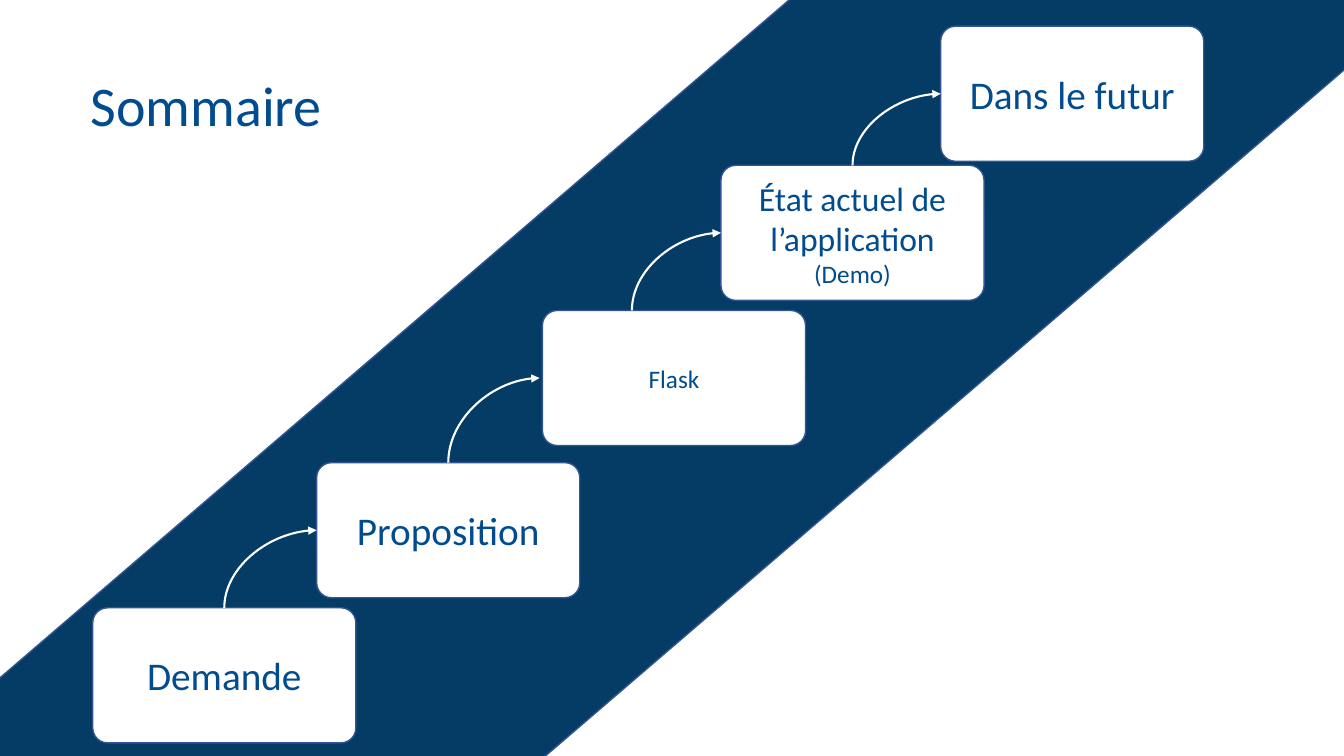
import lxml.etree
import pptx
import pptx.util
import pptx.dml.color
import pptx.enum.shapes
import pptx.enum.text
import pptx.oxml.ns

RGB = pptx.dml.color.RGBColor
SHAPE = pptx.enum.shapes.MSO_SHAPE
ALIGN = pptx.enum.text.PP_ALIGN
ANCHOR = pptx.enum.text.MSO_ANCHOR
qn = pptx.oxml.ns.qn

NAVY = RGB(0x04, 0x3C, 0x66)
BLUE = RGB(0x00, 0x4C, 0x8F)
EDGE = RGB(0x32, 0x54, 0x91)
WHITE = RGB(0xFF, 0xFF, 0xFF)

# Content: lengths are percentages of the slide's width and height
TITLE = "Sommaire"
TITLE_BOX = (6, 8.67, 51.24, 10.27)
STRIPE_BOX = (-5.78, -18, 123.63, 188.8)
STEP_W, STEP_H = 19.58, 17.87
STEPS = [  # left, top, lines of (text, size)
    (6.9, 80.4, [("Demande", 28)]),
    (23.56, 61.2, [("Proposition", 28)]),
    (40.36, 41.07, [("Flask", 18)]),
    (53.64, 21.87, [("État actuel de l’application", 24), ("(Demo)", 18)]),
    (69.99, 3.47, [("Dans le futur", 28)]),
]
# Per arrow: start along the box's top side (share), gap before the next box
ARROWS = [(0.5, 0), (0.5, 0.22), (0.34, 0), (0.5, 0)]

prs = pptx.Presentation()
prs.slide_width = pptx.util.Inches(13.33)
prs.slide_height = pptx.util.Inches(7.5)
s = prs.slides.add_slide(prs.slide_layouts[5])


def across(share):
    return round(prs.slide_width * share / 100)


def down(share):
    return round(prs.slide_height * share / 100)


def place(left, top, width, height):
    return across(left), down(top), across(width), down(height)


def write(tf, lines, align, anchor):
    tf.word_wrap = True
    tf.vertical_anchor = anchor
    for i, (text, size) in enumerate(lines):
        p = tf.paragraphs[0] if i == 0 else tf.add_paragraph()
        p.alignment = align
        r = p.add_run()
        r.text = text
        r.font.color.rgb = BLUE
        for name, value in {"name": "Calibri", "size": pptx.util.Pt(size)}.items():
            setattr(r.font, name, value)


def add_block(kind, box, adjust, fill):
    sp = s.shapes.add_shape(kind, *place(*box))
    sp.adjustments[0] = adjust
    sp.shadow.inherit = False
    sp.fill.solid()
    sp.fill.fore_color.rgb = fill
    sp.line.color.rgb = EDGE
    sp.line.width = pptx.util.Pt(1)
    return sp


def add_arrow(x1, y1, x2, y2):
    """Curve that leaves (x1, y1) upwards and reaches (x2, y2) to the right."""
    run, rise = x2 - x1, y1 - y2
    c = s.shapes.add_connector(pptx.enum.shapes.MSO_CONNECTOR.CURVE, 0, 0, 0, 0)
    # A quarter turn swaps width and height about the centre
    c.left, c.top = (x1 + x2 - rise) // 2, (y1 + y2 - run) // 2
    c.width, c.height = rise, run
    props = c.element.spPr
    xfrm = props.find(qn("a:xfrm"))
    for name, value in {"rot": "5400000", "flipH": "1", "flipV": "1"}.items():
        xfrm.set(name, value)
    props.find(qn("a:prstGeom")).set("prst", "curvedConnector2")
    c.line.color.rgb = WHITE
    c.line.width = pptx.util.Pt(1.5)
    lxml.etree.SubElement(props.find(qn("a:ln")), qn("a:tailEnd"), type="triangle")
    lxml.etree.SubElement(props, qn("a:effectLst"))


# Title
title = s.shapes.title
title.left, title.top, title.width, title.height = place(*TITLE_BOX)
write(title.text_frame, [(TITLE, 40)], ALIGN.LEFT, ANCHOR.TOP)

# Diagonal band
add_block(SHAPE.DIAGONAL_STRIPE, STRIPE_BOX, 0.617, NAVY)

# Steps
for left, top, lines in STEPS:
    step = add_block(SHAPE.ROUNDED_RECTANGLE, (left, top, STEP_W, STEP_H), 0.11, WHITE)
    write(step.text_frame, lines, ALIGN.CENTER, ANCHOR.MIDDLE)

# Arrows from the top of each step to the left side of the next
for (left, top, _), (next_left, next_top, _), (start, gap) in zip(STEPS, STEPS[1:], ARROWS):
    add_arrow(across(left + start * STEP_W), down(top),
              across(next_left - gap), down(next_top + STEP_H / 2))

prs.save("out.pptx")
